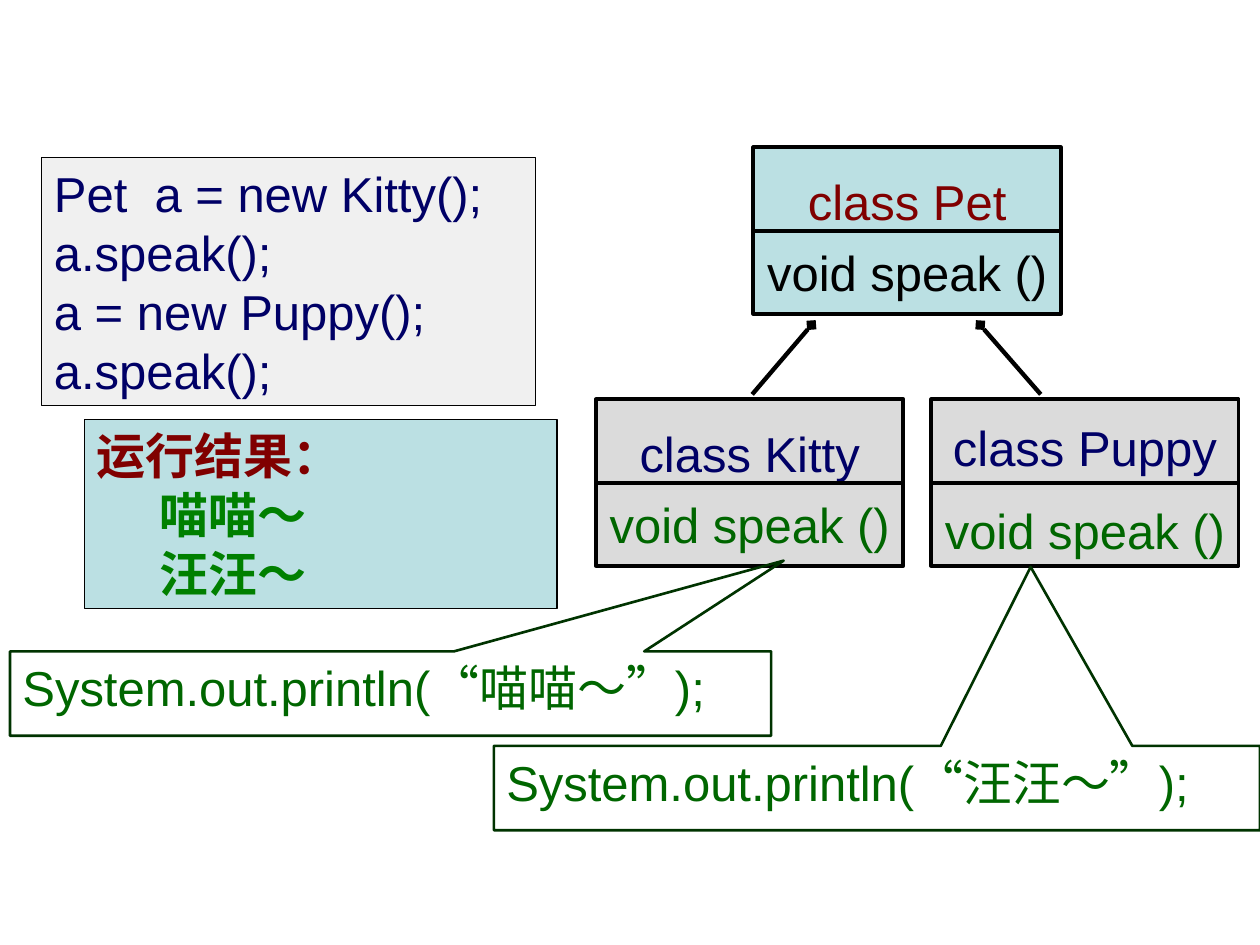
from pptx import Presentation
from pptx.dml.color import RGBColor
from pptx.enum.shapes import MSO_CONNECTOR, MSO_SHAPE
from pptx.enum.text import MSO_ANCHOR, PP_ALIGN
from pptx.oxml.ns import qn
from pptx.util import Inches, Pt
from lxml import etree

RECT = MSO_SHAPE.RECTANGLE
CALLOUT = MSO_SHAPE.RECTANGULAR_CALLOUT
STRAIGHT = MSO_CONNECTOR.STRAIGHT
TOP, MIDDLE = MSO_ANCHOR.TOP, MSO_ANCHOR.MIDDLE
CENTER, LEFT = PP_ALIGN.CENTER, PP_ALIGN.LEFT

COLORS = {
    "black": "000000", "teal": "BBE0E3", "grey": "DBDBDB", "pale": "F0F0F0",
    "maroon": "800000", "navy": "000066", "green": "006600",
    "result": "008000", "outline": "003300",
}
LATIN, CJK = "Arial", "Noto Sans CJK SC"


def rgb(name):
    """Return the named colour."""
    return RGBColor.from_string(COLORS[name])


def add_box(slide, box, kind, fill, outline, width):
    """Add an outlined shape, unfilled when fill is None."""
    shape = slide.shapes.add_shape(kind, *map(Inches, box))
    shape.shadow.inherit = False
    if fill:
        shape.fill.solid()
        shape.fill.fore_color.rgb = rgb(fill)
    else:
        shape.fill.background()
    shape.line.color.rgb = rgb(outline)
    shape.line.width = Pt(width)
    return shape


def write(shape, text, colors, font=LATIN, bold=False, align=LEFT, anchor=TOP, wrap=True):
    """Fill a shape with text, giving each run its colour in turn."""
    frame = shape.text_frame
    frame.word_wrap = wrap
    frame.vertical_anchor = anchor
    frame.text = text
    for paragraph in frame.paragraphs:
        paragraph.alignment = align
    runs = [run for paragraph in frame.paragraphs for run in paragraph.runs]
    for index, run in enumerate(runs):
        run.font.size = Pt(28)
        run.font.name = font
        run.font.bold = bold
        run.font.color.rgb = rgb(colors[min(index, len(colors) - 1)])
        east_asian = etree.SubElement(run.font._element, qn("a:ea"))
        east_asian.set("typeface", CJK)
    return frame


def add_line(slide, start, end, width, tail=None):
    """Draw a black line, with an optional head at its end."""
    line = slide.shapes.add_connector(STRAIGHT, *map(Inches, start + end))
    line.line.color.rgb = rgb("black")
    line.line.width = Pt(width)
    if tail:
        etree.SubElement(line.line._get_or_add_ln(), qn("a:tailEnd")).set("type", tail)
    etree.SubElement(line._element.spPr, qn("a:effectLst"))


def add_class(slide, box, text, fill, colors):
    """Draw a class box divided into its name and its method."""
    left, top, width, height = box
    frame = write(add_box(slide, box, RECT, fill, "black", 2.25), text, colors,
                  align=CENTER, anchor=MIDDLE, wrap=False)
    for index, paragraph in enumerate(frame.paragraphs):
        paragraph.line_spacing = 1.2
        if index:
            paragraph.space_before = Pt(7)
    middle = top + height / 2
    add_line(slide, (left, middle), (left + width, middle), 2.25)


def add_hierarchy(slide, left, top):
    """Draw the parent class, its two subclasses and the links between them."""
    width, height = 2.44, 1.32
    lower = top + 2
    add_class(slide, (left + 1.25, top, width, height),
              "class Pet\vvoid speak ()", "teal", ("maroon", "black"))
    for start, end in ((1.24, 1.71), (3.53, 3.05)):
        add_line(slide, (left + start, lower - 0.04), (left + end, top + 1.41), 2.5, "diamond")
    for offset, text in ((0, "class Kitty\vvoid speak ()"),
                         (2.66, "class Puppy\nvoid speak ()")):
        add_class(slide, (left + offset, lower, width, height), text, "grey", ("navy", "green"))


def add_callout(slide, box, sound, tip):
    """Draw a callout with the print statement of a speak method."""
    callout = add_box(slide, box, CALLOUT, None, "outline", 1.5)
    left, top, width, height = box
    callout.adjustments[0] = (tip[0] - left) / width - 0.5
    callout.adjustments[1] = (tip[1] - top) / height - 0.5
    write(callout, f"System.out.println(“{sound}”);", ("green",))


def add_code(slide, box):
    """Draw the panel with the calling code."""
    write(add_box(slide, box, RECT, "pale", "black", 0.75),
          "Pet  a = new Kitty();\na.speak();\na = new Puppy();\na.speak();", ("navy",))


def add_result(slide, box):
    """Draw the panel with the program output."""
    write(add_box(slide, box, RECT, "teal", "black", 0.75),
          "运行结果：\n\t喵喵～\n\t汪汪～", ("maroon", "result"), font=CJK, bold=True)


def main():
    """Build and save the slide."""
    deck = Presentation()
    deck.slide_width, deck.slide_height = Inches(10), Inches(7.5)
    slide = deck.slides.add_slide(deck.slide_layouts[6])
    add_hierarchy(slide, 4.73, 1.17)
    add_callout(slide, (0.08, 5.17, 6.04, 0.67), "喵喵～", (6.22, 4.45))
    add_callout(slide, (3.92, 5.92, 6.08, 0.67), "汪汪～", (8.18, 4.5))
    add_code(slide, (0.33, 1.25, 3.92, 1.97))
    add_result(slide, (0.67, 3.33, 3.75, 1.5))
    deck.save("out.pptx")


if __name__ == "__main__":
    main()
